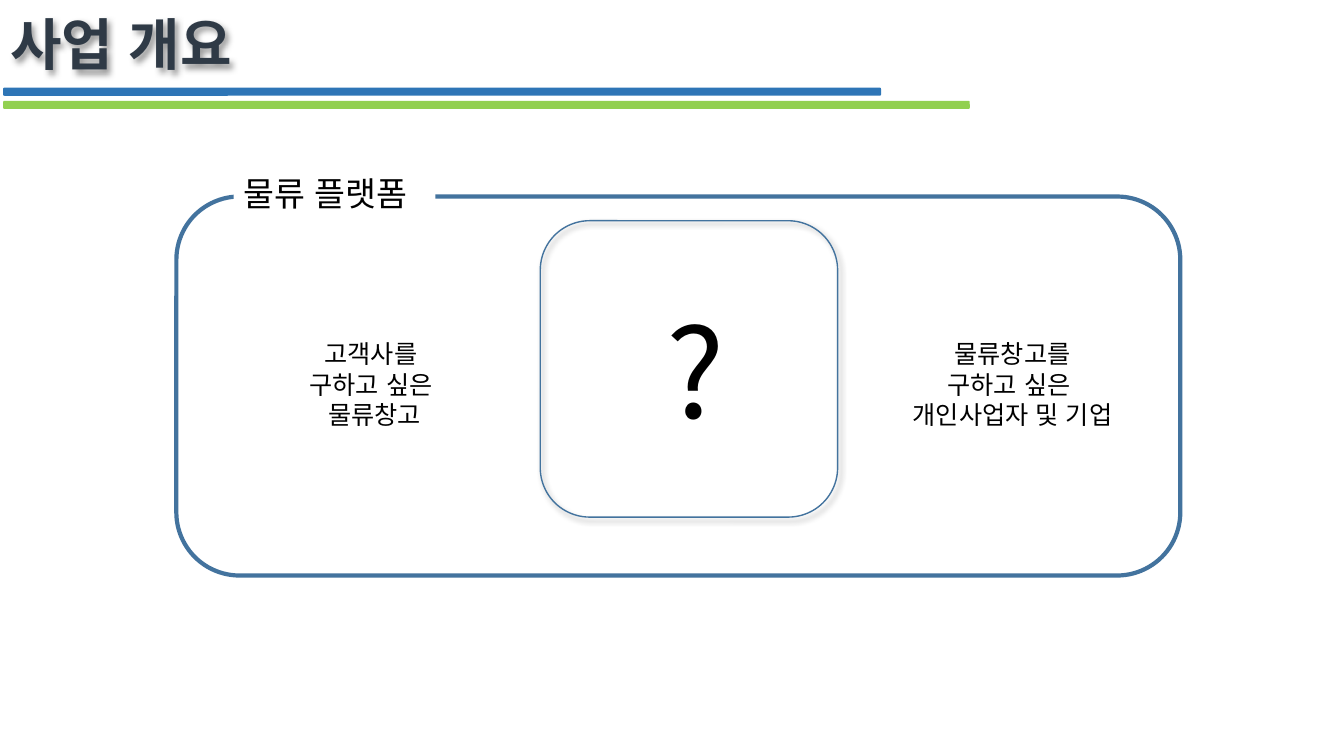
"""Build the business overview slide with its logistics platform diagram."""
from lxml.etree import SubElement
from pptx import Presentation
from pptx.dml.color import RGBColor
from pptx.enum.lang import MSO_LANGUAGE_ID as Language
from pptx.enum.shapes import MSO_SHAPE as Shape
from pptx.enum.text import MSO_ANCHOR as Anchor, MSO_AUTO_SIZE as AutoSize, PP_ALIGN as Align
from pptx.oxml.ns import qn
from pptx.util import Pt

FONT = "Noto Sans CJK KR"
COLOURS = {"outline": "43739E", "blue": "2E75B6", "green": "92D050",
           "title": "2F3A46", "text": "000000", "paper": "FFFFFF"}


def write(shape, lines, size, colour="text", align=Align.LEFT, anchor=Anchor.TOP, bold=False):
    frame = shape.text_frame
    frame.text = "\n".join(lines)
    frame.vertical_anchor = anchor
    formats = {"name": FONT, "size": Pt(size), "bold": bold, "language_id": Language.KOREAN}
    for para in frame.paragraphs:
        para.alignment = align
        span = para.runs[0]
        for name, value in formats.items():
            setattr(span.font, name, value)
        span.font.color.rgb = RGBColor.from_string(COLOURS[colour])
        SubElement(span.font._element, qn("a:ea"), typeface=FONT)


def add_shadow(shape):
    effects = shape._element.spPr.find(qn("a:effectLst"))
    shadow = SubElement(effects, qn("a:outerShdw"), blurRad=str(Pt(4)), dist=str(Pt(3)),
                        dir="2700000", algn="tl", rotWithShape="0")
    colour = SubElement(shadow, qn("a:srgbClr"), val=COLOURS["text"])
    SubElement(colour, qn("a:alpha"), val="40000")


deck = Presentation()
deck.slide_width, deck.slide_height = Pt(960), Pt(540)
page = deck.slides.add_slide(deck.slide_layouts[5])

title = page.shapes.title
place = {"left": Pt(0), "top": Pt(2.9), "width": Pt(925), "height": Pt(55.4)}
for name, value in place.items():
    setattr(title, name, value)
write(title, ["사업 개요"], 40, "title", anchor=Anchor.MIDDLE, bold=True)
title.text_frame.auto_size = AutoSize.NONE
title.fill.background()
title.shadow.inherit = False
add_shadow(title)

panels = {}
for name, kind, bounds, fill, line_width in [
    ("platform", Shape.ROUNDED_RECTANGLE, (126, 140.4, 717.1, 270.7), None, 3),
    ("question", Shape.ROUNDED_RECTANGLE, (385.9, 157.7, 212.4, 211.7), None, 1),
    ("label", Shape.RECTANGLE, (167, 120.2, 144, 36), "paper", 0),
    ("blue rule", Shape.ROUNDED_RECTANGLE, (2.2, 62.6, 627.1, 5.8), "blue", 0),
    ("green rule", Shape.ROUNDED_RECTANGLE, (2.2, 72, 690.5, 5.8), "green", 0),
]:
    panel = page.shapes.add_shape(kind, *map(Pt, bounds))
    panel.shadow.inherit = False
    if fill:
        panel.fill.solid()
        panel.fill.fore_color.rgb = RGBColor.from_string(COLOURS[fill])
    else:
        panel.fill.background()
    if line_width:
        panel.line.width = Pt(line_width)
        panel.line.color.rgb = RGBColor.from_string(COLOURS["outline"])
    else:
        panel.line.fill.background()
    panels[name] = panel

add_shadow(panels["question"])
write(panels["label"], ["물류 플랫폼"], 24)
panels["label"].text_frame.word_wrap = False

for bounds, lines, size, align in [
    ((208.8, 238.3, 117.4, 72.7), ["고객사를 ", "구하고 싶은 ", "물류창고"], 18, Align.CENTER),
    ((637.2, 238.3, 172.1, 72.7), ["물류창고를", "구하고 싶은 ", "개인사업자 및 기업"], 18, Align.CENTER),
    ((468.7, 207.4, 55.4, 113.8), ["?"], 88, Align.LEFT),
]:
    box = page.shapes.add_textbox(*map(Pt, bounds))
    write(box, lines, size, align=align)
    box.text_frame.word_wrap = False
    box.text_frame.auto_size = AutoSize.SHAPE_TO_FIT_TEXT

deck.save("out.pptx")
